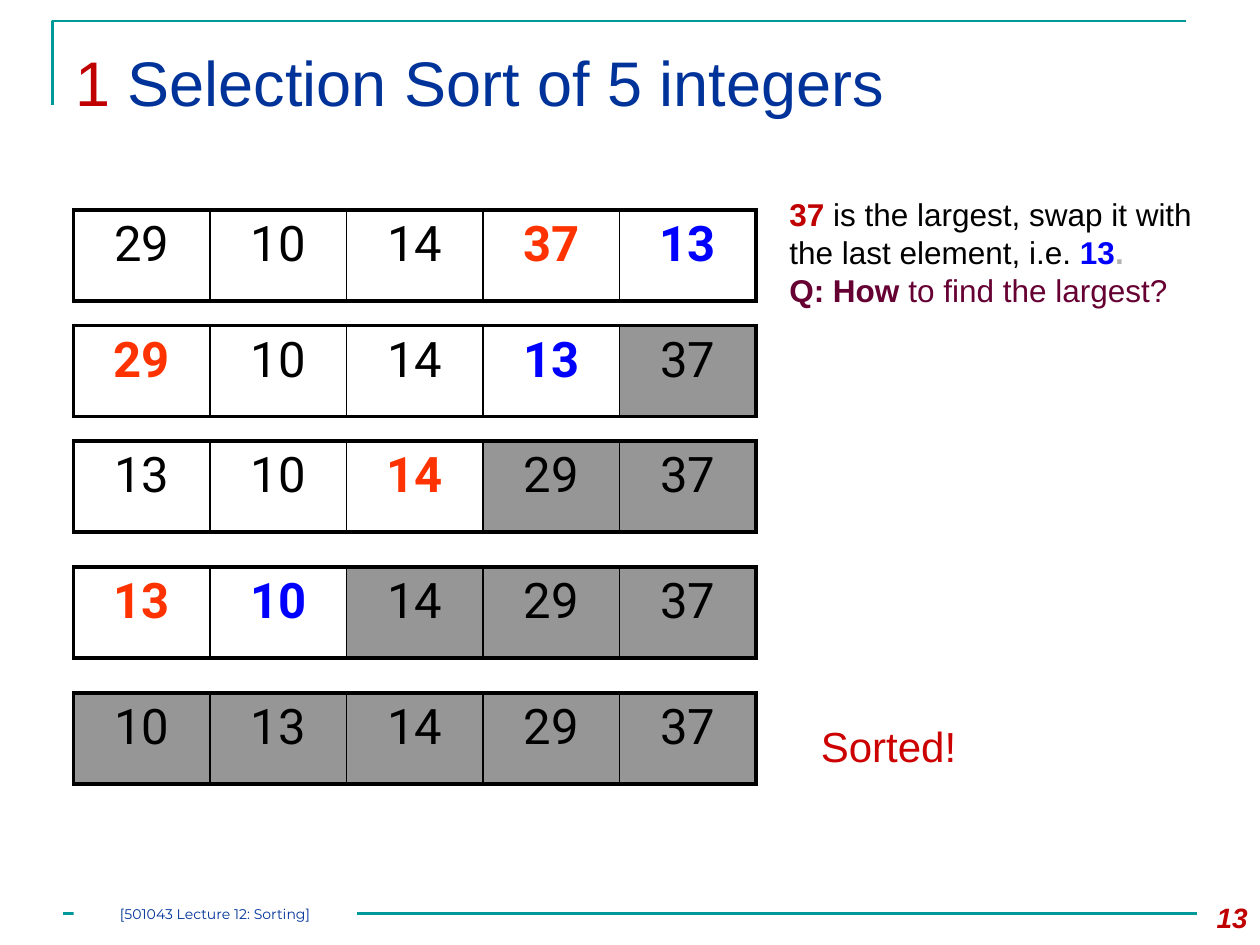
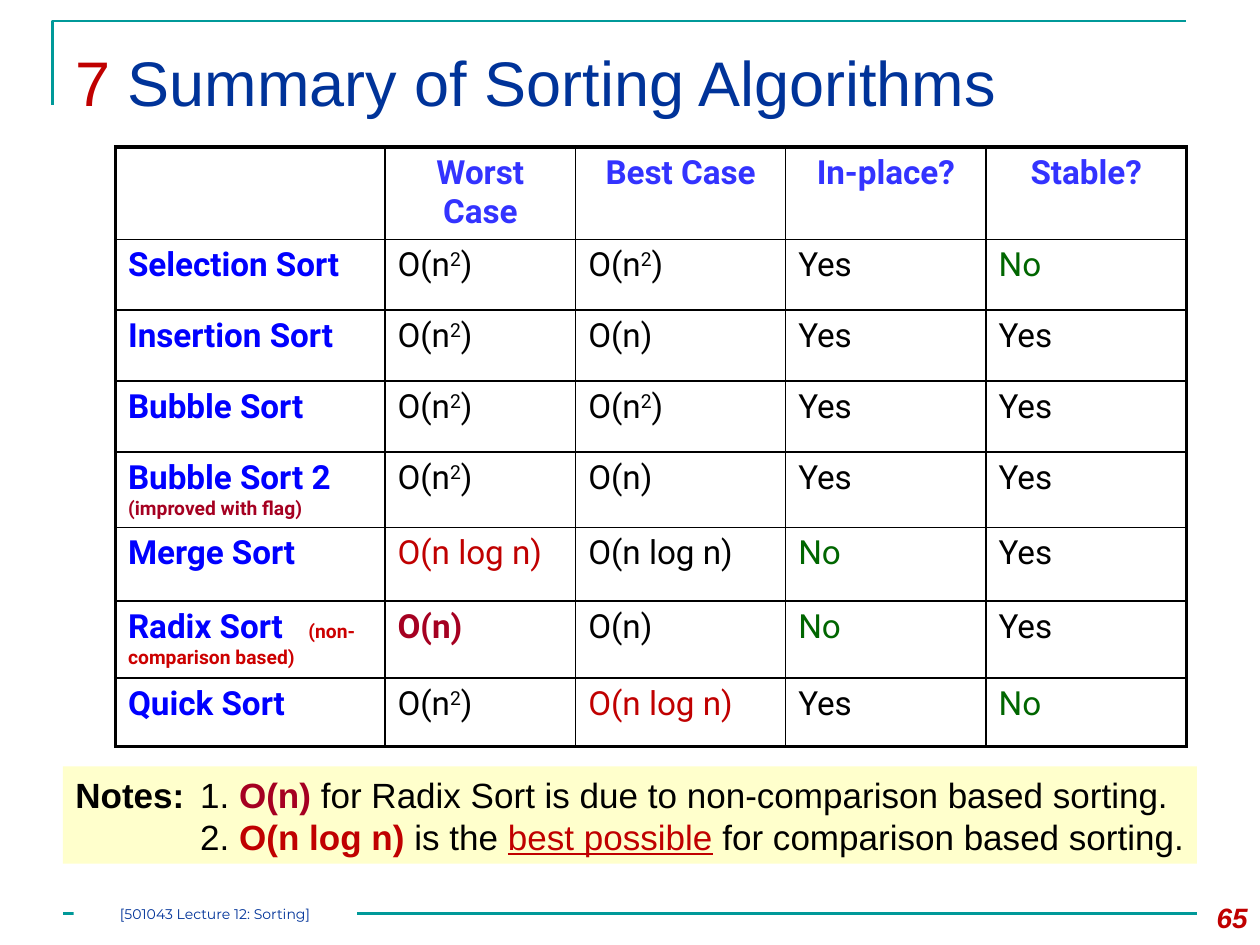
import pptx
import pptx.dml.color
import pptx.enum.shapes
import pptx.enum.text
import pptx.oxml.ns
import pptx.util
from lxml import etree

Pt = pptx.util.Pt
qn = pptx.oxml.ns.qn
ALIGN = pptx.enum.text.PP_ALIGN
ANCHOR = pptx.enum.text.MSO_ANCHOR

COLORS = {
    "black": "000000", "white": "FFFFFF", "teal": "009999", "navy": "003399",
    "red": "C00000", "sorted": "CC0000", "largest": "FF3300", "last": "0000FF",
    "done": "969696", "question": "660033", "dot": "B2B2B2", "header": "3333FF",
    "no": "006600", "linear": "A50021", "notes": "FFFFCC",
}
PASSES = [
    (120, [29, 10, 14, 37, 13], 3, 4, 5),
    (186, [29, 10, 14, 13, 37], 0, 3, 4),
    (252, [13, 10, 14, 29, 37], 2, None, 3),
    (324, [13, 10, 14, 29, 37], 0, 1, 2),
    (396, [10, 13, 14, 29, 37], None, None, 0),
]
HEADERS = ["", "Worst Case", "Best Case", "In-place?", "Stable?"]
ALGORITHMS = [
    ("Selection Sort", None, "O(n^2)", "O(n^2)", "Yes", "No"),
    ("Insertion Sort", None, "O(n^2)", "O(n)", "Yes", "Yes"),
    ("Bubble Sort", None, "O(n^2)", "O(n^2)", "Yes", "Yes"),
    ("Bubble Sort 2 ", ("(improved with flag)", "linear", "b", 11),
     "O(n^2)", "O(n)", "Yes", "Yes"),
    ("Merge Sort", None, "O(n log n)", "O(n log n)", "No", "Yes"),
    ("Radix Sort\t", ("(non-comparison based)", "sorted", "b", 11),
     "O(n)", "O(n)", "No", "Yes"),
    ("Quick Sort", None, "O(n^2)", "O(n log n)", "Yes", "No"),
]
HIGHLIGHTS = {
    ("Merge Sort", 1): ("red", ""),
    ("Radix Sort\t", 1): ("linear", "b"),
    ("Quick Sort", 2): ("red", ""),
}


def rgb(name):
    """Return the named colour."""
    return pptx.dml.color.RGBColor.from_string(COLORS[name])


def write(p, font, size, *runs, align=None, tab=None):
    """Fill a paragraph with (text, colour, style letters, size) runs."""
    if tab:
        tabs = etree.SubElement(p._p.get_or_add_pPr(), qn("a:tabLst"))
        etree.SubElement(tabs, qn("a:tab"), pos=str(Pt(tab)), algn="l")
    if align is not None:
        p.alignment = align
    for text, color, style, *own_size in runs:
        r = p.add_run()
        r.text = text
        f = r.font
        f.name, f.size = font, Pt(own_size[0] if own_size else size)
        f.color.rgb = rgb(color)
        f.bold, f.italic = "b" in style, "i" in style
        if "u" in style:
            f.underline = True
        if "^" in style:
            f._element.set("baseline", "30000")


def add_text(s, x, y, w, h, wrap=True):
    """Add an empty text box and return its text frame."""
    tf = s.shapes.add_textbox(Pt(x), Pt(y), Pt(w), Pt(h)).text_frame
    tf.word_wrap = wrap
    return tf


def add_rect(s, x, y, w, h, color):
    """Add a plain filled rectangle and return its text frame."""
    kind = pptx.enum.shapes.MSO_SHAPE.RECTANGLE
    sp = s.shapes.add_shape(kind, Pt(x), Pt(y), Pt(w), Pt(h))
    sp.shadow.inherit = False
    sp.fill.solid()
    sp.fill.fore_color.rgb = rgb(color)
    sp.line.fill.background()
    sp.text_frame.vertical_anchor = ANCHOR.MIDDLE
    return sp.text_frame


def add_title(s, x, y, w, h, number, title):
    """Draw the corner rule and the numbered title."""
    builder = s.shapes.build_freeform(x, y + 48, scale=Pt(1))
    builder.add_line_segments([(x, y), (x + w, y)], close=False)
    sp = builder.convert_to_shape()
    sp.shadow.inherit = False
    sp.fill.background()
    sp.line.color.rgb = rgb("teal")
    sp.line.width = Pt(1.5)
    tf = add_text(s, x + 6, y + 6, w, h - 6)
    tf.margin_top = Pt(7)
    write(tf.paragraphs[0], "Arial", 36,
          (f"{number} ", "red", ""), (title, "navy", ""))


def add_footer(s, x, y, w, h, page):
    """Draw the footer rule, the lecture label and the page number."""
    mid = Pt(y + h / 2)
    kind = pptx.enum.shapes.MSO_CONNECTOR.STRAIGHT
    line = s.shapes.add_connector(kind, Pt(x), mid, Pt(x + w), mid)
    line.line.color.rgb = rgb("teal")
    line.line.width = Pt(1.5)
    etree.SubElement(line._element.spPr, qn("a:effectLst"))
    tf = add_rect(s, x + 6, y, 162, h, "white")
    tf.margin_left = tf.margin_right = tf.margin_top = tf.margin_bottom = 0
    write(tf.paragraphs[0], "Montserrat", 8,
          ("[501043 Lecture 12: Sorting]", "navy", ""), align=ALIGN.CENTER)
    tf = add_text(s, x + w - 12, y - 5, 48, 29)
    write(tf.paragraphs[0], "Arial", 16, (str(page), "red", "bi"), align=ALIGN.RIGHT)


def add_slide(prs, number, title, page):
    """Add a blank slide with the shared title and footer."""
    s = prs.slides.add_slide(prs.slide_layouts[6])
    add_title(s, 30, 12, 648, 78, number, title)
    add_footer(s, 36, 516, 648, 12, page)
    return s


def add_grid(s, x, y, widths, heights):
    """Add an unfilled table with thick outer and thin inner borders."""
    rows, cols = len(heights), len(widths)
    table = s.shapes.add_table(rows, cols, Pt(x), Pt(y),
                               Pt(sum(widths)), Pt(sum(heights))).table
    table.first_row = table.horz_banding = False
    for col, width in zip(table.columns, widths):
        col.width = Pt(width)
    for row, height in zip(table.rows, heights):
        row.height = Pt(height)
    for i in range(rows):
        for j in range(cols):
            cell = table.cell(i, j)
            outer = {"L": j == 0, "R": j == cols - 1, "T": i == 0, "B": i == rows - 1}
            for side, thick in outer.items():
                ln = etree.SubElement(cell._tc.get_or_add_tcPr(), qn(f"a:ln{side}"),
                                      w=str(Pt(2.25 if thick else 1)))
                fill = etree.SubElement(ln, qn("a:solidFill"))
                etree.SubElement(fill, qn("a:srgbClr"), val=COLORS["black"])
            cell.fill.background()
    return table


def add_pass(s, x, y, w, h, values, largest, last, done):
    """Draw the array before one pass, with the sorted part shaded."""
    table = add_grid(s, x, y, [w / len(values)] * len(values), [h])
    for j, value in enumerate(values):
        cell = table.cell(0, j)
        color = "largest" if j == largest else "last" if j == last else "black"
        style = "" if color == "black" else "b"
        write(cell.text_frame.paragraphs[0], "Roboto", 28,
              (str(value), color, style), align=ALIGN.CENTER)
        if j >= done:
            cell.fill.solid()
            cell.fill.fore_color.rgb = rgb("done")


def selection_slide(prs):
    """Build the selection sort trace."""
    s = add_slide(prs, 1, "Selection Sort of 5 integers", 13)
    for y, *state in PASSES:
        add_pass(s, 42, y, 390, 52, *state)
    tf = add_text(s, 444, 108, 252, 72)
    write(tf.paragraphs[0], "Arial", 18,
          ("37 ", "red", "b"),
          ("is the largest, swap it with the last element, i.e. ", "black", ""),
          ("13", "last", "b"), (".", "dot", "b"))
    write(tf.add_paragraph(), "Arial", 18,
          ("Q: How ", "question", "b"), ("to find the largest?", "question", ""))
    tf = add_text(s, 462, 408, 93, 36, wrap=False)
    write(tf.paragraphs[0], "Arial", 24, ("Sorted!", "sorted", ""))


def add_summary(s, x, y):
    """Draw the table that compares the algorithms."""
    table = add_grid(s, x, y, [154, 109, 120, 114.5, 114.5],
                     [51.5, 40.5, 40.5, 40.5, 42, 42, 44, 39])
    for j, header in enumerate(HEADERS[1:], 1):
        write(table.cell(0, j).text_frame.paragraphs[0], "Roboto", 19,
              (header, "header", "b"), align=ALIGN.CENTER)
    for i, (name, remark, *facts) in enumerate(ALGORITHMS, 1):
        runs = [(name, "last", "b")] + ([remark] if remark else [])
        write(table.cell(i, 0).text_frame.paragraphs[0], "Roboto", 19, *runs,
              tab=103 if "\t" in name else None)
        for j, fact in enumerate(facts, 1):
            default = ("no" if fact == "No" else "black", "")
            color, style = HIGHLIGHTS.get((name, j), default)
            base, power, rest = fact.partition("^")
            runs = [(base, color, style)]
            if power:
                runs += [(rest[0], color, style + "^"), (rest[1:], color, style)]
            write(table.cell(i, j).text_frame.paragraphs[0], "Roboto", 19, *runs)


def add_notes(s, x, y, w, h):
    """Draw the band with the two numbered notes."""
    tf = add_rect(s, x, y, w, h, "notes")
    write(tf.paragraphs[0], "Arial", 20,
          ("Notes:", "black", "b"), ("\t1. ", "black", ""), ("O(n)", "linear", "b"),
          (" for Radix Sort is due to non-comparison based sorting.", "black", ""),
          align=ALIGN.LEFT, tab=71.3)
    write(tf.add_paragraph(), "Arial", 20,
          ("\t2.", "black", ""), (" O(n log n) ", "red", "b"), ("is the ", "black", ""),
          ("best possible", "red", "u"),
          (" for comparison based sorting.", "black", ""),
          align=ALIGN.LEFT, tab=71.3)


def summary_slide(prs):
    """Build the comparison of the sorting algorithms."""
    s = add_slide(prs, 7, "Summary of Sorting Algorithms", 65)
    add_summary(s, 66, 84)
    add_notes(s, 36, 438, 648, 55.5)


def main():
    """Build and save the presentation."""
    prs = pptx.Presentation()
    prs.slide_width, prs.slide_height = Pt(720), Pt(540)
    selection_slide(prs)
    summary_slide(prs)
    prs.save("out.pptx")


if __name__ == "__main__":
    main()
